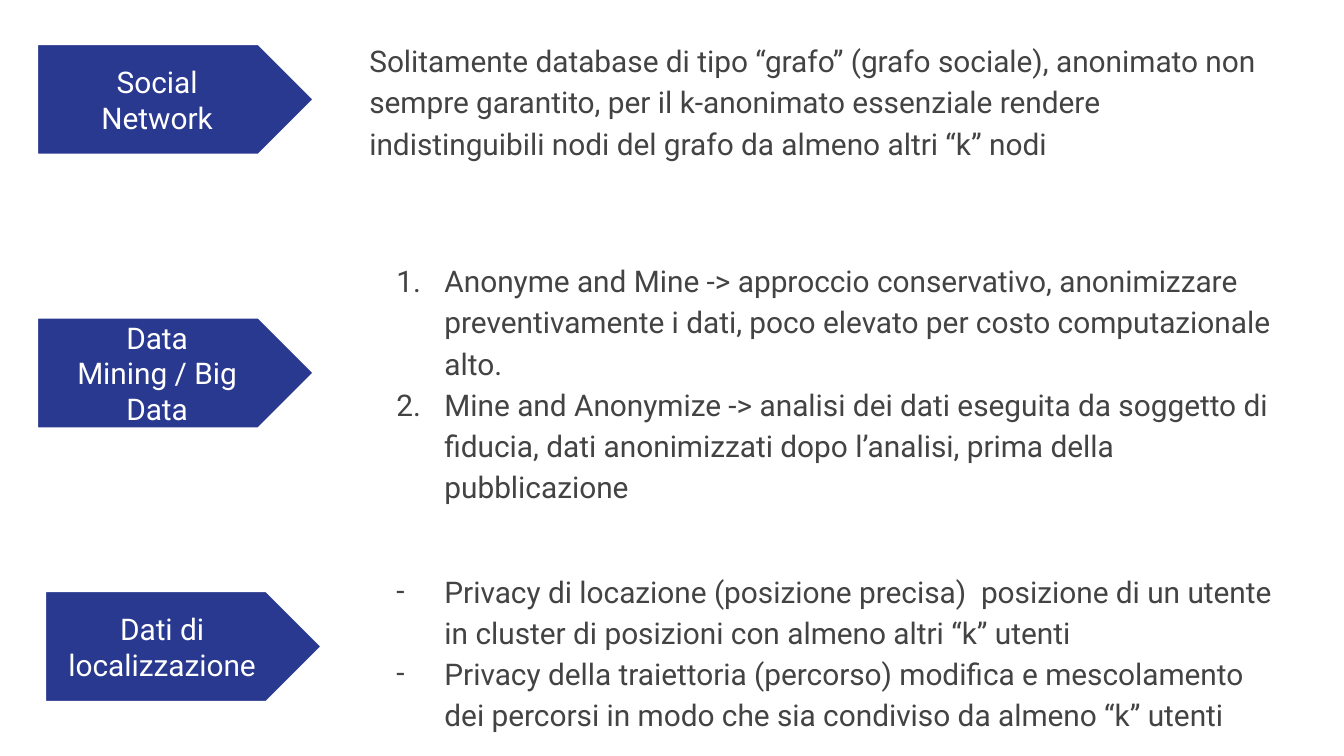
from lxml import etree
from pptx import Presentation
from pptx.dml.color import RGBColor
from pptx.enum.shapes import MSO_SHAPE
from pptx.enum.text import MSO_ANCHOR, MSO_AUTO_SIZE, PP_ALIGN
from pptx.oxml.ns import qn
from pptx.util import Cm, Pt

PENTAGON = MSO_SHAPE.PENTAGON
TOP, MIDDLE = MSO_ANCHOR.TOP, MSO_ANCHOR.MIDDLE
LEFT, CENTER = PP_ALIGN.LEFT, PP_ALIGN.CENTER
NO_AUTOFIT = MSO_AUTO_SIZE.NONE

BLUE = RGBColor(0x2A, 0x39, 0x90)
WHITE = RGBColor(0xFF, 0xFF, 0xFF)
GRAY = RGBColor(0x43, 0x43, 0x43)
FONT = "Roboto"

# Boxes are left, top, width, height in cm; label is left, width.
TOPICS = [
    {
        "label": "Social Network",
        "arrow_left": 0.71, "label_span": (1.14, 3.66),
        "body_box": (6.73, 0.46, 17.65, 2.84), "bullet": None,
        "body": [
            "Solitamente database di tipo “grafo” (grafo sociale), anonimato non "
            "sempre garantito, per il k-anonimato essenziale rendere "
            "indistinguibili nodi del grafo da almeno altri “k” nodi",
        ],
    },
    {
        "label": "Data Mining / Big Data",
        "arrow_left": 0.71, "label_span": (1.14, 3.66),
        "body_box": (6.88, 4.62, 17.65, 5.03), "bullet": "number",
        "body": [
            "Anonyme and Mine -> approccio conservativo, anonimizzare "
            "preventivamente i dati, poco elevato per costo computazionale alto.",
            "Mine and Anonymize -> analisi dei dati eseguita da soggetto di "
            "fiducia, dati anonimizzati dopo l’analisi, prima della pubblicazione",
        ],
    },
    {
        "label": "Dati di localizzazione",
        "arrow_left": 0.86, "label_span": (1.02, 4.09),
        "body_box": (6.88, 10.49, 17.65, 3.43), "bullet": "dash",
        "body": [
            "Privacy di locazione (posizione precisa)  posizione di un utente "
            "in cluster di posizioni con almeno altri “k” utenti",
            "Privacy della traiettoria (percorso) modifica e mescolamento "
            "dei percorsi in modo che sia condiviso da almeno “k” utenti",
        ],
    },
]
ARROW_TOP, ARROW_PITCH = 0.84, 5.17
ARROW_W, ARROW_H = 5.21, 2.08
LABEL_H = 1.3


def set_bullet(p, bullet):
    pPr = p._p.get_or_add_pPr()
    indent = (Cm(1.27), Cm(-0.91)) if bullet else (0, 0)
    pPr.set("marL", str(indent[0]))
    pPr.set("indent", str(indent[1]))
    if bullet is None:
        etree.SubElement(pPr, qn("a:buNone"))
        return
    color = etree.SubElement(pPr, qn("a:buClr"))
    etree.SubElement(color, qn("a:srgbClr"), val=str(GRAY))
    etree.SubElement(pPr, qn("a:buFont"), typeface=FONT)
    if bullet == "number":
        etree.SubElement(pPr, qn("a:buAutoNum"), type="arabicPeriod")
    else:
        etree.SubElement(pPr, qn("a:buChar"), char="-")


def write(sp, lines, color=GRAY, align=LEFT, anchor=TOP, spacing=1.15, bullet=None):
    tf = sp.text_frame
    tf.word_wrap = True
    tf.auto_size = NO_AUTOFIT
    tf.vertical_anchor = anchor
    tf.margin_left = tf.margin_right = tf.margin_top = tf.margin_bottom = Cm(0.25)
    for i, line in enumerate(lines):
        p = tf.add_paragraph() if i else tf.paragraphs[0]
        p.alignment = align
        p.line_spacing = spacing
        p.space_before = p.space_after = Pt(0)
        set_bullet(p, bullet)
        r = p.add_run()
        r.text = line
        r.font.name, r.font.size, r.font.bold = FONT, Pt(16), False
        r.font.color.rgb = color


def add_arrow(slide, left, top):
    sp = slide.shapes.add_shape(PENTAGON, Cm(left), Cm(top), Cm(ARROW_W), Cm(ARROW_H))
    sp.shadow.inherit = False
    sp.fill.solid()
    sp.fill.fore_color.rgb = BLUE
    sp.line.color.rgb = WHITE
    sp.line.width = Pt(0.75)


def main():
    prs = Presentation()
    prs.slide_width, prs.slide_height = Cm(25.4), Cm(14.29)
    slide = prs.slides.add_slide(prs.slide_layouts.get_by_name("Comparison"))
    title, *bodies = slide.placeholders
    for spare in (title, *bodies[len(TOPICS):]):
        spare.element.getparent().remove(spare.element)

    for i, (topic, body) in enumerate(zip(TOPICS, bodies)):
        top = ARROW_TOP + i * ARROW_PITCH
        add_arrow(slide, topic["arrow_left"], top)
        left, width = topic["label_span"]
        label = slide.shapes.add_textbox(
            Cm(left), Cm(top + (ARROW_H - LABEL_H) / 2), Cm(width), Cm(LABEL_H))
        write(label, [topic["label"]], color=WHITE, align=CENTER, anchor=MIDDLE, spacing=1.0)
        body.left, body.top, body.width, body.height = map(Cm, topic["body_box"])
        write(body, topic["body"], bullet=topic["bullet"])

    prs.save("out.pptx")


if __name__ == "__main__":
    main()
